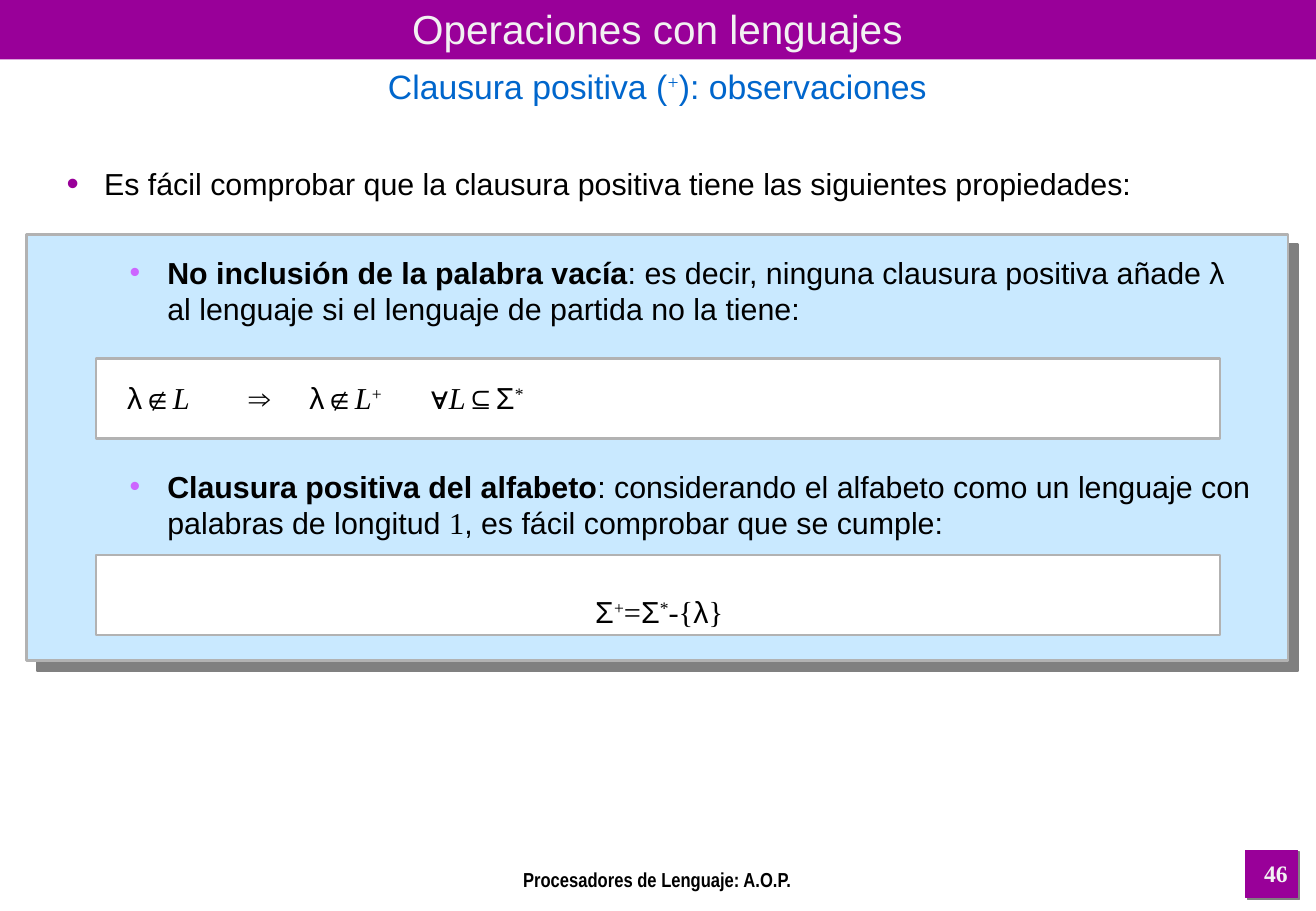
from dataclasses import dataclass

import lxml.etree
import pptx
import pptx.dml.color
import pptx.enum.shapes
import pptx.enum.text
import pptx.oxml.ns
import pptx.util

PX = 9144  # EMU in one px, 100 px to the inch
Color = pptx.dml.color.RGBColor
Align = pptx.enum.text.PP_ALIGN
Anchor = pptx.enum.text.MSO_ANCHOR

PURPLE = Color(0x99, 0x00, 0x99)
VIOLET = Color(0xCC, 0x66, 0xFF)
SKY = Color(0xC9, 0xE9, 0xFF)
SILVER = Color(0xB2, 0xB2, 0xB2)
GRAY = Color(0x80, 0x80, 0x80)
BLUE = Color(0x00, 0x66, 0xCC)
PALE = Color(0xF2, 0xF2, 0xF2)
WHITE = Color(0xFF, 0xFF, 0xFF)
BLACK = Color(0x00, 0x00, 0x00)

SANS, NARROW, SERIF = "Arial", "Arial Narrow", "Times New Roman"


@dataclass(frozen=True)
class Area:
    left: int
    top: int
    width: int
    height: int

    def emu(self) -> tuple[int, ...]:
        return tuple(side * PX for side in (self.left, self.top, self.width, self.height))


@dataclass(frozen=True)
class Panel:
    area: Area
    fill: Color
    line: Color | None = None
    line_points: float = 1.5
    shadow_points: float = 0


@dataclass(frozen=True)
class Span:
    text: str
    font: str = SANS
    bold: bool = False
    italic: bool = False
    raised: bool = False


@dataclass(frozen=True)
class Bullet:
    color: Color
    percent: int = 100


@dataclass(frozen=True)
class Para:
    spans: tuple[Span, ...]
    align: Align = Align.CENTER
    before: float = 0
    margin: int = 0
    bullet: Bullet | None = None
    tabs: tuple[int, ...] = ()


@dataclass(frozen=True)
class TextBlock:
    area: Area
    size: int
    color: Color
    paras: tuple[Para, ...]
    anchor: Anchor = Anchor.TOP


HANGING = 31
GAP = 31  # points between the blocks of the body

PANELS = (
    Panel(Area(0, 0, 1084, 49), PURPLE),
    Panel(Area(1026, 700, 43, 39), PURPLE, PURPLE, 0.75, 1.4),
    Panel(Area(22, 193, 1039, 351), SKY, SILVER, shadow_points=8.5),
    *(Panel(Area(79, top, 926, 66), WHITE, SILVER) for top in (295, 457)),
)

PROPERTIES = (
    Para((Span("Es fácil comprobar que la clausura positiva tiene las siguientes propiedades:"),),
         Align.LEFT, margin=31, bullet=Bullet(PURPLE, 115)),
    Para((Span("No inclusión de la palabra vacía", bold=True),
          Span(": es decir, ninguna clausura positiva añade λ al lenguaje "
               "si el lenguaje de partida no la tiene:")),
         Align.LEFT, GAP, 83, Bullet(VIOLET)),
    Para((Span("\tλ∉"), Span("L", SERIF, italic=True), Span("\t⇒"),
          Span("\tλ∉"), Span("L", SERIF, italic=True), Span("+", SERIF, raised=True),
          Span("\t∀"), Span("L", SERIF, italic=True), Span("⊆Σ"),
          Span("*", SERIF, raised=True)),
         Align.LEFT, GAP, tabs=(326, 397, 448, 574)),
    Para((Span("Clausura positiva del alfabeto", bold=True),
          Span(": considerando el alfabeto como un lenguaje con palabras de longitud "),
          Span("1", SERIF), Span(", es fácil comprobar que se cumple:")),
         Align.LEFT, GAP, 83, Bullet(VIOLET)),
    Para((Span("Σ"), Span("+", SERIF, raised=True), Span("=", SERIF), Span("Σ"),
          Span("*", SERIF, raised=True), Span("-{", SERIF), Span("λ"), Span("}", SERIF)),
         before=GAP),
)

TEXTS = (
    TextBlock(Area(0, 6, 1083, 35), 24, PALE,
              (Para((Span("Operaciones con lenguajes"),)),), Anchor.MIDDLE),
    TextBlock(Area(45, 131, 996, 427), 18, BLACK, PROPERTIES),
    TextBlock(Area(0, 49, 1083, 44), 20, BLUE,
              (Para((Span("Clausura positiva ("), Span("+", SERIF, raised=True),
                     Span("): observaciones"))),)),
    TextBlock(Area(301, 709, 481, 18), 12, BLACK,
              (Para((Span("Procesadores de Lenguaje: A.O.P.", NARROW, bold=True),)),)),
    TextBlock(Area(1024, 702, 54, 35), 14, PALE,
              (Para((Span("46", SERIF, bold=True),)),)),
)


def add_element(parent, tag: str, **attributes):
    element = lxml.etree.SubElement(parent, pptx.oxml.ns.qn(tag))
    for name, value in attributes.items():
        element.set(name, str(value))
    return element


def add_hard_shadow(shape, points: float) -> None:
    """Cast an unblurred gray shadow down and to the right."""
    effects = shape._element.spPr.find(pptx.oxml.ns.qn("a:effectLst"))
    shadow = add_element(effects, "a:outerShdw", dist=int(pptx.util.Pt(points)),
                         dir=45 * 60000, algn="ctr", rotWithShape=0)
    add_element(shadow, "a:srgbClr", val=GRAY)


def draw_panel(page, panel: Panel) -> None:
    shape = page.shapes.add_shape(
        pptx.enum.shapes.MSO_SHAPE.RECTANGLE, *panel.area.emu())
    shape.fill.solid()
    shape.fill.fore_color.rgb = panel.fill
    if panel.line is None:
        shape.line.fill.background()
    else:
        shape.line.color.rgb = panel.line
        shape.line.width = pptx.util.Pt(panel.line_points)
    shape.shadow.inherit = False
    if panel.shadow_points:
        add_hard_shadow(shape, panel.shadow_points)


def format_paragraph(paragraph, para: Para) -> None:
    properties = paragraph._p.get_or_add_pPr()
    properties.set("marL", str(para.margin * PX))
    properties.set("indent", str(-HANGING * PX if para.bullet else 0))
    if para.bullet:
        color = add_element(properties, "a:buClr")
        add_element(color, "a:srgbClr", val=para.bullet.color)
        add_element(properties, "a:buSzPct", val=para.bullet.percent * 1000)
        add_element(properties, "a:buFont", typeface=SANS)
        add_element(properties, "a:buChar", char="•")
    if para.tabs:
        tab_list = add_element(properties, "a:tabLst")
        for position in para.tabs:
            add_element(tab_list, "a:tab", pos=position * PX, algn="l")
    paragraph.alignment = para.align
    if para.before:
        paragraph.space_before = pptx.util.Pt(para.before)


def draw_text(page, block: TextBlock) -> None:
    frame = page.shapes.add_textbox(*block.area.emu()).text_frame
    frame.word_wrap = True
    frame.vertical_anchor = block.anchor
    for index, para in enumerate(block.paras):
        paragraph = frame.add_paragraph() if index else frame.paragraphs[0]
        format_paragraph(paragraph, para)
        for span in para.spans:
            run = paragraph.add_run()
            run.text = span.text
            run.font.name = span.font
            run.font.size = pptx.util.Pt(block.size)
            run.font.bold = span.bold
            run.font.italic = span.italic
            run.font.color.rgb = block.color
            if span.raised:
                run._r.get_or_add_rPr().set("baseline", "30000")


def main() -> None:
    deck = pptx.Presentation()
    deck.slide_width, deck.slide_height = 1084 * PX, 750 * PX
    page = deck.slides.add_slide(deck.slide_layouts[6])
    for panel in PANELS:
        draw_panel(page, panel)
    for block in TEXTS:
        draw_text(page, block)
    deck.save("out.pptx")


if __name__ == "__main__":
    main()
